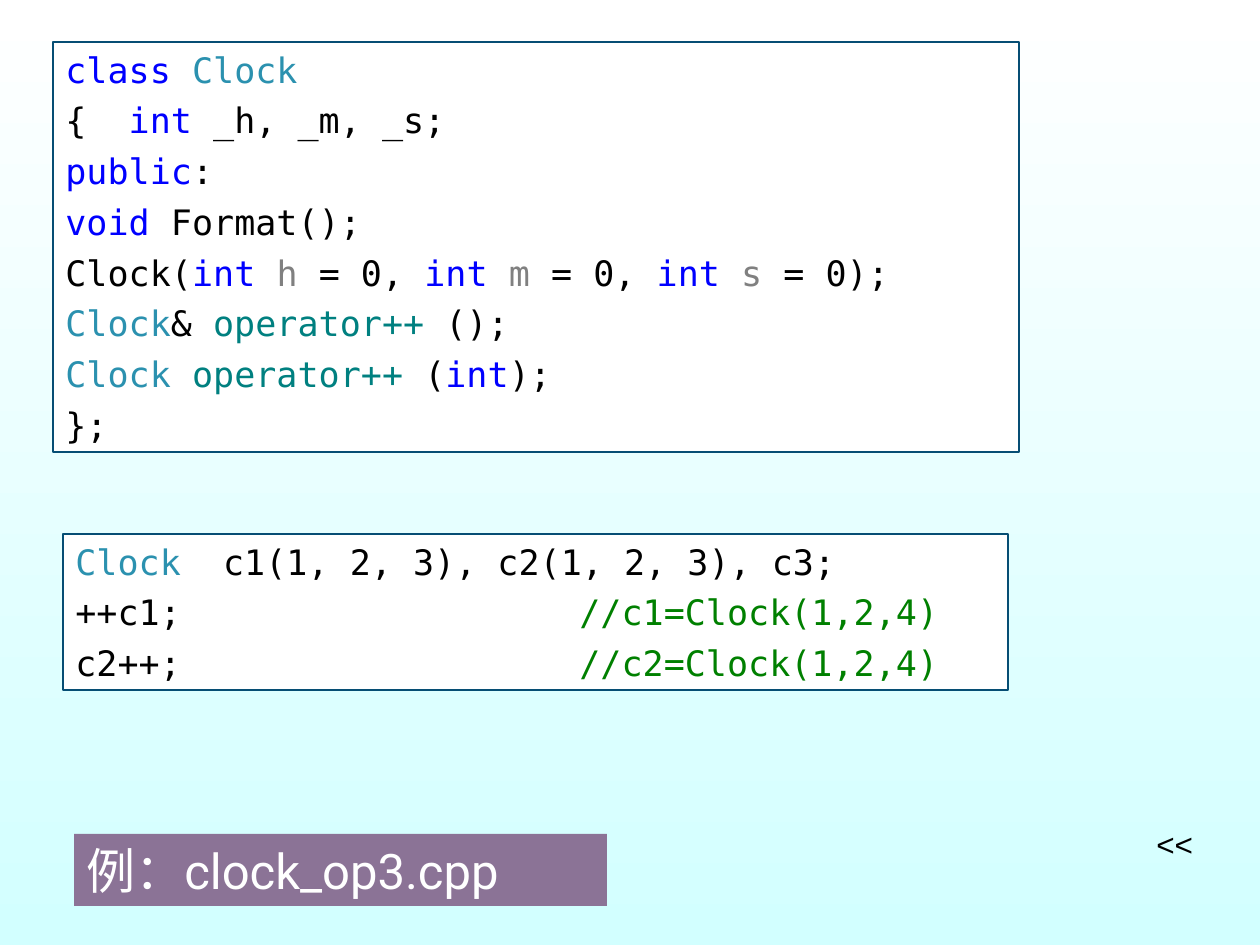
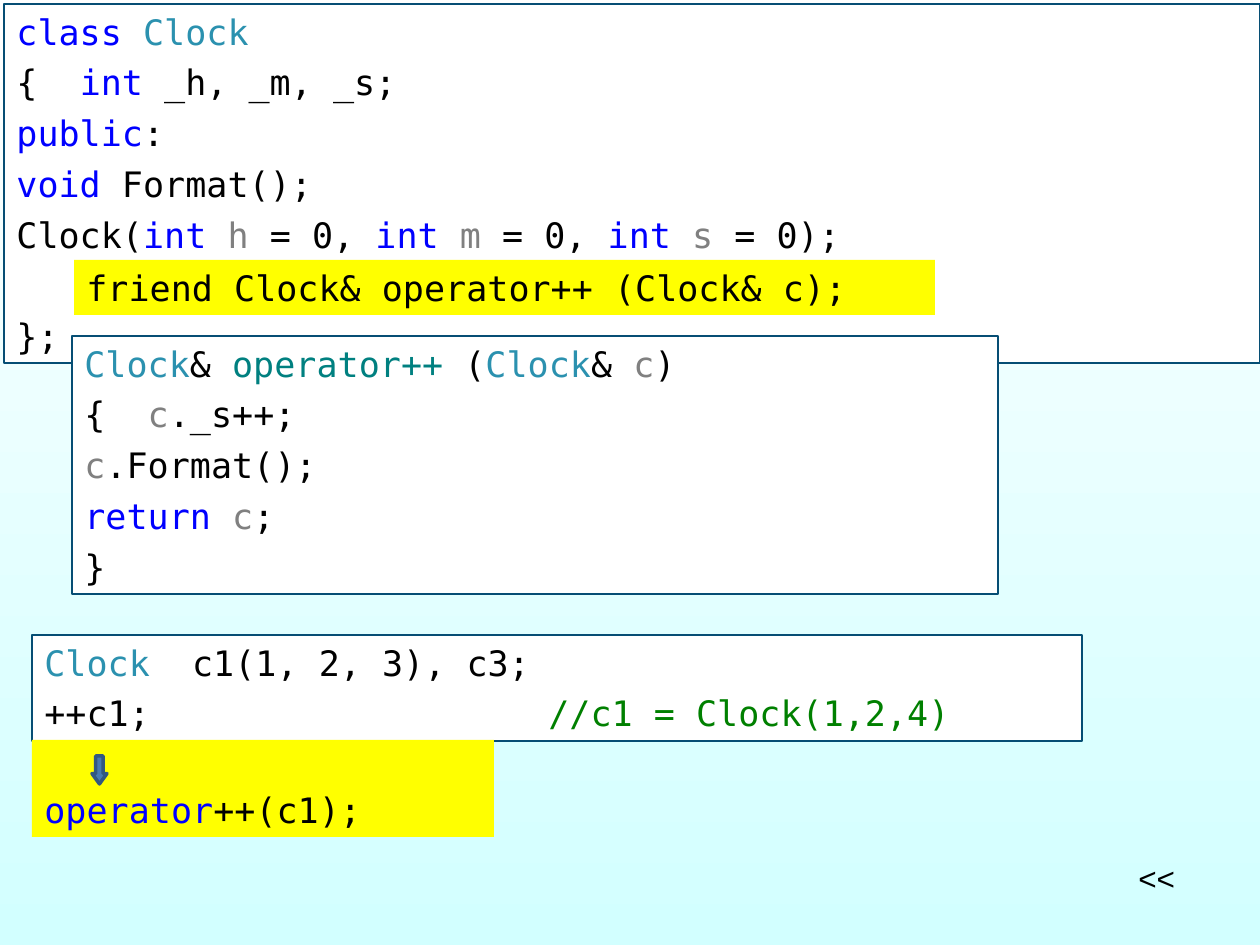
import pptx
import pptx.dml.color
import pptx.enum.shapes
import pptx.enum.text
import pptx.oxml.ns
import pptx.util
import lxml.etree

RGBColor = pptx.dml.color.RGBColor
WHITE = RGBColor(0xFF, 0xFF, 0xFF)
BLACK = RGBColor(0x00, 0x00, 0x00)
PALE_CYAN = RGBColor(0xD2, 0xFF, 0xFF)
BORDER = RGBColor(0x06, 0x4E, 0x74)
YELLOW = RGBColor(0xFF, 0xFF, 0x00)
PURPLE = RGBColor(0x8B, 0x73, 0x96)
ARROW_FILL = RGBColor(0x47, 0x7A, 0xB1)
ARROW_LINE = RGBColor(0x32, 0x58, 0x81)
KEYWORD = RGBColor(0x00, 0x00, 0xFF)
TYPE = RGBColor(0x2B, 0x91, 0xAF)
PARAMETER = RGBColor(0x80, 0x80, 0x80)
OPERATOR = RGBColor(0x00, 0x80, 0x80)
COMMENT = RGBColor(0x00, 0x80, 0x00)

CODE_FONT = "DejaVu Sans Mono"
LINE_GAP = 5
SKIPPED_LINE_GAP = 34
COMMENT_TAB = 504


def px(length):
    return round(length * 914400 / 126)


def add_box(slide, bounds, lines, fill=None, border=None, font=CODE_FONT, size=20):
    box = slide.shapes.add_shape(
        pptx.enum.shapes.MSO_SHAPE.RECTANGLE, *[px(length) for length in bounds])
    box.shadow.inherit = False
    if fill is None:
        box.fill.background()
    else:
        box.fill.solid()
        box.fill.fore_color.rgb = fill
    if border is None:
        box.line.fill.background()
    else:
        box.line.color.rgb = border
        box.line.width = pptx.util.Pt(0.75)
    frame = box.text_frame
    frame.word_wrap = True
    frame.vertical_anchor = pptx.enum.text.MSO_ANCHOR.TOP
    gap = 0
    paragraph = frame.paragraphs[0]
    for line in lines:
        if not line:
            gap = SKIPPED_LINE_GAP
            continue
        if paragraph.runs:
            paragraph = frame.add_paragraph()
        paragraph.alignment = pptx.enum.text.PP_ALIGN.LEFT
        paragraph.space_before = pptx.util.Pt(gap)
        gap = LINE_GAP
        if any("\t" in text for text, color in line):
            properties = paragraph._p.get_or_add_pPr()
            tabs = lxml.etree.SubElement(properties, pptx.oxml.ns.qn("a:tabLst"))
            lxml.etree.SubElement(
                tabs, pptx.oxml.ns.qn("a:tab"), pos=str(px(COMMENT_TAB)), algn="l")
        paragraph.font.name = font
        paragraph.font.size = pptx.util.Pt(size)
        for text, color in line:
            run = paragraph.add_run()
            run.text = text
            run.font.color.rgb = color
    return box


presentation = pptx.Presentation()
presentation.slide_width = px(1260)
presentation.slide_height = px(945)

background = presentation.slide_master.background.fill
background.gradient()
background.gradient_angle = 270
for stop, color in zip(background.gradient_stops, (WHITE, PALE_CYAN)):
    stop.color.rgb = color

blank_layout = presentation.slide_layouts[6]
member_slide = presentation.slides.add_slide(blank_layout)
friend_slide = presentation.slides.add_slide(blank_layout)

class_opening = [
    [("class ", KEYWORD), ("Clock", TYPE)],
    [("{  ", BLACK), ("int", KEYWORD), (" _h, _m, _s;", BLACK)],
    [("public", KEYWORD), (":", BLACK)],
    [("void", KEYWORD), (" Format();", BLACK)],
    [("Clock(", BLACK),
     ("int ", KEYWORD), ("h", PARAMETER), (" = 0, ", BLACK),
     ("int ", KEYWORD), ("m", PARAMETER), (" = 0, ", BLACK),
     ("int ", KEYWORD), ("s", PARAMETER), (" = 0);", BLACK)],
]
class_closing = [[("};", BLACK)]]
member_operators = [
    [("Clock", TYPE), ("& ", BLACK), ("operator++", OPERATOR), (" ();", BLACK)],
    [("Clock ", TYPE), ("operator++", OPERATOR), (" (", BLACK),
     ("int", KEYWORD), (");", BLACK)],
]
member_usage = [
    [("Clock", TYPE), ("  c1(1, 2, 3), c2(1, 2, 3), c3;", BLACK)],
    [("++c1;\t", BLACK), ("//c1=Clock(1,2,4)", COMMENT)],
    [("c2++;\t", BLACK), ("//c2=Clock(1,2,4)", COMMENT)],
]
friend_usage = [
    [("Clock", TYPE), ("  c1(1, 2, 3), c3;", BLACK)],
    [("++c1;\t", BLACK), ("//c1 = Clock(1,2,4)", COMMENT)],
]
friend_definition = [
    [("Clock", TYPE), ("& ", BLACK), ("operator++", OPERATOR), (" (", BLACK),
     ("Clock", TYPE), ("& ", BLACK), ("c", PARAMETER), (")", BLACK)],
    [("{  ", BLACK), ("c", PARAMETER), ("._s++;", BLACK)],
    [("c", PARAMETER), (".Format();", BLACK)],
    [("return ", KEYWORD), ("c", PARAMETER), (";", BLACK)],
    [("}", BLACK)],
]

add_box(member_slide, (53, 42, 966, 410),
        class_opening + member_operators + class_closing, WHITE, BORDER)
add_box(member_slide, (63, 534, 945, 156), member_usage, WHITE, BORDER)
add_box(member_slide, (74, 834, 533, 72), [[("例：clock_op3.cpp", WHITE)]],
        PURPLE, font="Roboto", size=28)

add_box(friend_slide, (32, 635, 1050, 106), friend_usage, WHITE, BORDER)
call_box = add_box(friend_slide, (32, 740, 462, 97),
                   [[("operator", KEYWORD), ("++(c1);", BLACK)]], YELLOW)
call_box.text_frame.vertical_anchor = pptx.enum.text.MSO_ANCHOR.BOTTOM

arrow = friend_slide.shapes.add_shape(
    pptx.enum.shapes.MSO_SHAPE.DOWN_ARROW, px(92), px(756), px(15), px(28))
arrow.shadow.inherit = False
arrow.adjustments[0] = 0.5
arrow.adjustments[1] = 0.69
arrow.fill.solid()
arrow.fill.fore_color.rgb = ARROW_FILL
arrow.line.color.rgb = ARROW_LINE
arrow.line.width = pptx.util.Pt(2)

add_box(friend_slide, (4, 4, 1256, 359),
        class_opening + [[]] + class_closing, WHITE, BORDER)
add_box(friend_slide, (74, 260, 861, 55),
        [[("friend Clock& operator++ (Clock& c);", BLACK)]], YELLOW)
add_box(friend_slide, (72, 336, 926, 258), friend_definition, WHITE, BORDER)

for slide, left, top in ((member_slide, 1144, 819), (friend_slide, 1126, 853)):
    add_box(slide, (left, top, 62, 50), [[("<<", BLACK)]], font="Arial", size=18)

presentation.save("out.pptx")
